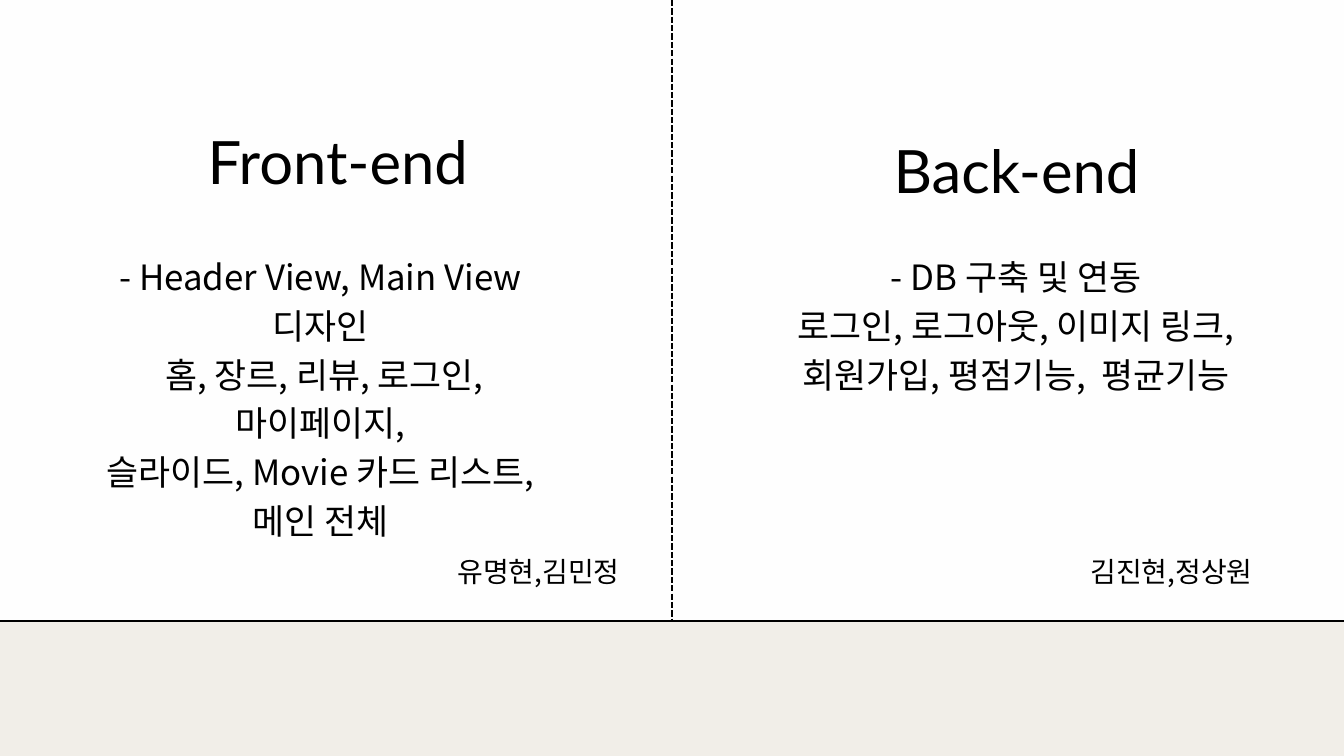
from lxml import etree
from pptx import Presentation
from pptx.dml.color import RGBColor
from pptx.enum import dml, shapes, text
from pptx.oxml.ns import qn
from pptx.util import Inches, Pt

BACKGROUND = RGBColor(0xFE, 0xFE, 0xFE)
BAND = RGBColor(0xF1, 0xEE, 0xE8)
INK = RGBColor(0x00, 0x00, 0x00)
HEADING_FONT = "Lato"
BODY_FONT = "Noto Sans CJK KR"


def add_text(slide, box, lines, font_name, size, spacing):
    shape = slide.shapes.add_textbox(*(Inches(length) for length in box))
    frame = shape.text_frame
    frame.word_wrap = True
    frame.margin_left = frame.margin_right = 0
    frame.margin_top = frame.margin_bottom = 0
    for index, line in enumerate(lines):
        paragraph = frame.add_paragraph() if index else frame.paragraphs[0]
        paragraph.alignment = text.PP_ALIGN.CENTER
        paragraph.line_spacing = Pt(spacing)
        run = paragraph.add_run()
        run.text = line
        run.font.name = font_name
        run.font.size = Pt(size)
        run.font.color.rgb = INK
        east_asian = etree.SubElement(run.font._element, qn("a:ea"))
        east_asian.set("typeface", font_name)


def add_heading(slide, left, top, title):
    add_text(slide, (left, top, 7.51, 1), [title], HEADING_FONT, 64, 70.4)


def add_tasks(slide, left, height, lines):
    add_text(slide, (left, 3.7, 7.3, height), lines, BODY_FONT, 37.3, 52.3)


def add_members(slide, left, names):
    add_text(slide, (left, 8.3, 4.37, 0.47), [names], BODY_FONT, 30, 33)


def add_footer_band(slide):
    band = slide.shapes.add_shape(
        shapes.MSO_SHAPE.RECTANGLE,
        Inches(-0.34), Inches(9.24), Inches(20.68), Inches(2.41),
    )
    band.shadow.inherit = False
    band.fill.solid()
    band.fill.fore_color.rgb = BAND
    band.line.color.rgb = INK
    band.line.width = Pt(1.75)
    return band


def add_divider(slide, band):
    divider = slide.shapes.add_connector(
        shapes.MSO_CONNECTOR.STRAIGHT,
        Inches(10), Inches(0), Inches(10), Inches(9.24),
    )
    divider.end_connect(band, 0)
    divider.line.color.rgb = INK
    divider.line.width = Pt(2.25)
    divider.line.dash_style = dml.MSO_LINE.SQUARE_DOT
    etree.SubElement(divider._element.spPr, qn("a:effectLst"))


def main():
    presentation = Presentation()
    presentation.slide_width = Inches(20)
    presentation.slide_height = Inches(11.25)
    slide = presentation.slides.add_slide(presentation.slide_layouts[6])
    slide.background.fill.solid()
    slide.background.fill.fore_color.rgb = BACKGROUND

    band = add_footer_band(slide)
    add_divider(slide, band)

    add_heading(slide, 1.27, 1.94, "Front-end")
    add_tasks(slide, 1.12, 2.92, [
        "- Header View, Main View 디자인",
        " 홈, 장르, 리뷰, 로그인, 마이페이지,",
        "슬라이드, Movie 카드 리스트,",
        "메인 전체",
    ])
    add_members(slide, 5.83, "유명현,김민정")

    add_heading(slide, 11.37, 2.08, "Back-end")
    add_tasks(slide, 11.47, 2.19, [
        "- DB 구축 및 연동",
        "로그인, 로그아웃, 이미지 링크,",
        "회원가입, 평점기능,  평균기능",
    ])
    add_members(slide, 15.25, "김진현,정상원")

    presentation.save("out.pptx")


if __name__ == "__main__":
    main()
